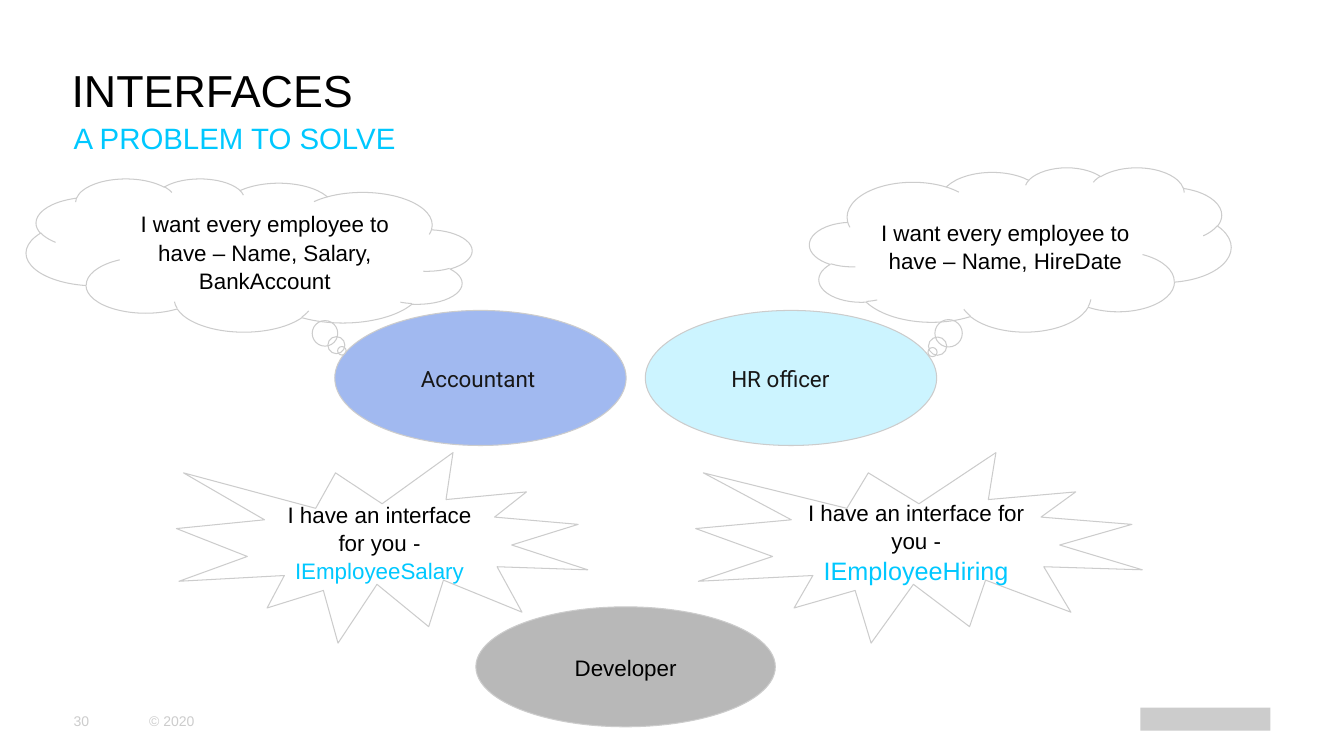
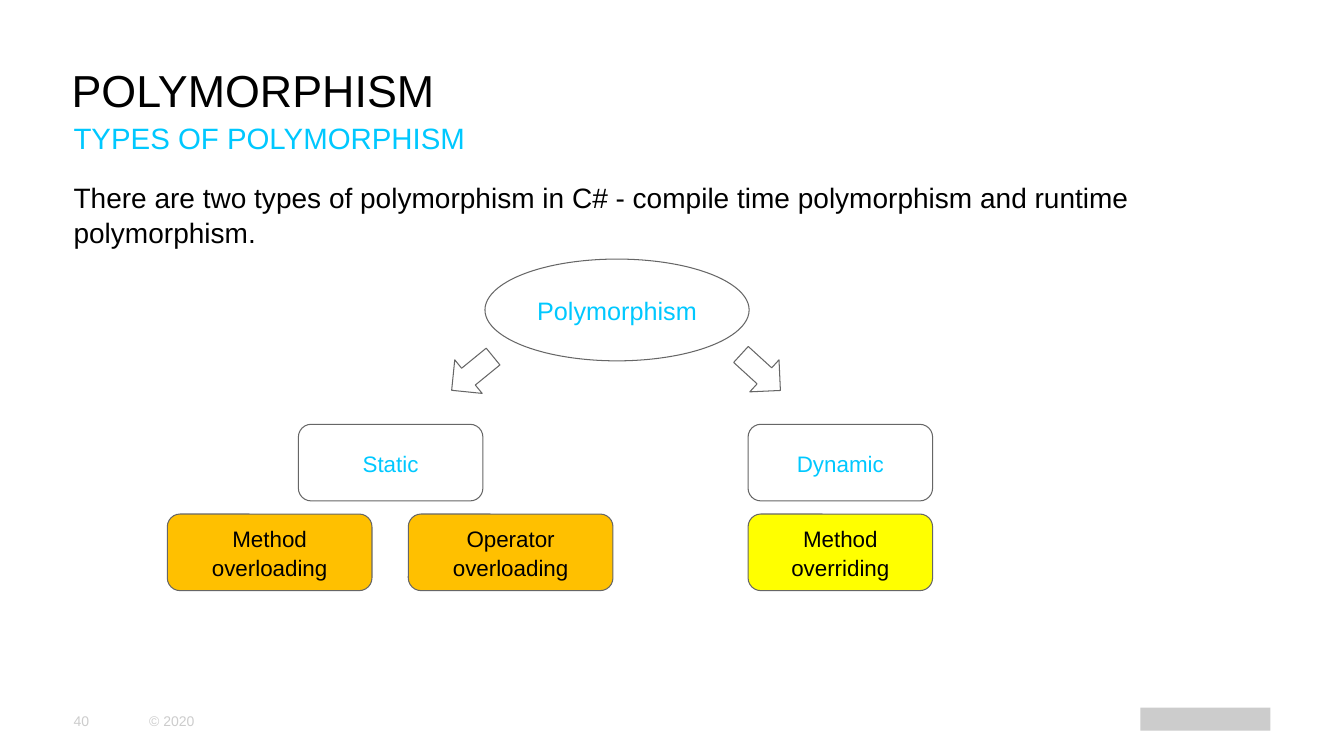
from dataclasses import dataclass

from pptx import Presentation
from pptx.dml.color import RGBColor
from pptx.enum.shapes import MSO_SHAPE
from pptx.enum.text import MSO_ANCHOR, PP_ALIGN
from pptx.util import Emu, Pt

OVAL = MSO_SHAPE.OVAL
THOUGHT = MSO_SHAPE.CLOUD_CALLOUT
BURST = MSO_SHAPE.EXPLOSION1
ROUNDED = MSO_SHAPE.ROUNDED_RECTANGLE
ARROW = MSO_SHAPE.DOWN_ARROW
RECTANGLE = MSO_SHAPE.RECTANGLE
LEFT, CENTER = PP_ALIGN.LEFT, PP_ALIGN.CENTER
TOP, MIDDLE, BOTTOM = MSO_ANCHOR.TOP, MSO_ANCHOR.MIDDLE, MSO_ANCHOR.BOTTOM

PX = 9144  # EMU in one px, 100 px to the inch


@dataclass(frozen=True)
class Theme:
    font: str = "Arial"
    role_font: str = "Roboto"
    black: str = "000000"
    role_text: str = "171717"
    accent: str = "00C8FF"
    pale_line: str = "CCCCCC"
    dark_line: str = "666666"
    periwinkle: str = "A1B9F0"
    ice: str = "CCF4FF"
    gray: str = "B8B8B8"
    orange: str = "FFC000"
    yellow: str = "FFFF00"
    title: int = 32
    subtitle: int = 21
    body: int = 20
    large: int = 18
    label: int = 16
    footer: int = 10
    line_width: float = 0.75
    line_spacing: float = 1.05


THEME = Theme()

# Content: boxes are (left, top, width, height) in px
COPYRIGHT = "© 2020"

ROLES = [
    ("Accountant", (332, 308, 289, 134), THEME.periwinkle),
    ("HR officer", (640, 308, 289, 134), THEME.ice),
]
WISHES = [  # text, box, mirrored
    ("I want every employee to have – Name, Salary, BankAccount", (26, 177, 442, 152), True),
    ("I want every employee to have – Name, HireDate", (803, 166, 418, 163), False),
]
DEVELOPER = ("Developer", (472, 602, 297, 119))
OFFER = "I have an interface for you - "
OFFERS = [  # interface, size, box
    ("IEmployeeHiring", THEME.large, (690, 449, 443, 189)),
    ("IEmployeeSalary", THEME.label, (175, 449, 408, 189)),
]

INTRO = ("There are two types of polymorphism in C# - compile time polymorphism "
         "and runtime polymorphism.")
ROOT = ("Polymorphism", (481, 257, 262, 101))
NODE_HEIGHT = 76
KIND_TOP, METHOD_TOP = 421, 510
KINDS = [("Static", 296, 183), ("Dynamic", 742, 183)]  # text, left, width
METHODS = [
    ("Method overloading", 166, 203, THEME.orange),
    ("Operator overloading", 405, 203, THEME.orange),
    ("Method overriding", 742, 183, THEME.yellow),
]
ARROWS = [((447, 344, 43, 53), 50.8), ((733, 343, 43, 53), 312.4)]  # box, rotation


def emu(box):
    return [Emu(length * PX) for length in box]


def write(frame, segments, align=LEFT, anchor=MIDDLE, font=THEME.font):
    """Fill one paragraph with (text, size, colour) segments."""
    frame.word_wrap = True
    frame.vertical_anchor = anchor
    paragraph = frame.paragraphs[0]
    paragraph.alignment = align
    paragraph.line_spacing = THEME.line_spacing
    for text, size, color in segments:
        run = paragraph.add_run()
        run.text = text
        run.font.name = font
        run.font.size = Pt(size)
        run.font.color.rgb = RGBColor.from_string(color)


def add_text(slide, box, text, size, color, anchor=TOP):
    frame = slide.shapes.add_textbox(*emu(box)).text_frame
    frame.margin_left = frame.margin_top = frame.margin_right = frame.margin_bottom = 0
    write(frame, [(text, size, color)], anchor=anchor)


def add_figure(slide, preset, box, line=None, fill=None):
    figure = slide.shapes.add_shape(preset, *emu(box))
    figure.shadow.inherit = False
    if fill:
        figure.fill.solid()
        figure.fill.fore_color.rgb = RGBColor.from_string(fill)
    else:
        figure.fill.background()
    if line:
        figure.line.color.rgb = RGBColor.from_string(line)
        figure.line.width = Pt(THEME.line_width)
    else:
        figure.line.fill.background()
    return figure


def add_label(slide, preset, box, line, segments, fill=None):
    figure = add_figure(slide, preset, box, line, fill)
    write(figure.text_frame, segments, CENTER)
    return figure


def add_page(deck, number, title, subtitle):
    """Start a slide with the shared footer, logo block and heading."""
    slide = deck.slides.add_slide(deck.slide_layouts[6])
    add_text(slide, (148, 695, 108, 40), COPYRIGHT, THEME.footer, THEME.pale_line, MIDDLE)
    add_text(slide, (73, 695, 74, 40), number, THEME.footer, THEME.pale_line, MIDDLE)
    add_figure(slide, RECTANGLE, (1131, 702, 129, 23), fill=THEME.pale_line)
    add_text(slide, (73, 117, 1187, 44), subtitle, THEME.subtitle, THEME.accent)
    add_text(slide, (71, 1, 1190, 115), title, THEME.title, THEME.black, BOTTOM)
    return slide


def build_interfaces(deck):
    slide = add_page(deck, "30", "INTERFACES", "A PROBLEM TO SOLVE")

    # Each role, then the wish it is thinking of
    for (role, role_box, fill), (wish, wish_box, mirrored) in zip(ROLES, WISHES):
        oval = add_figure(slide, OVAL, role_box, THEME.pale_line, fill)
        oval.text_frame.margin_left = Emu(43 * PX)
        write(oval.text_frame, [(role, THEME.label, THEME.role_text)], font=THEME.role_font)
        cloud = add_label(slide, THOUGHT, wish_box, THEME.pale_line,
                          [(wish, THEME.label, THEME.black)])
        if mirrored:
            cloud._element.spPr.xfrm.set("flipH", "1")

    # The developer and the interfaces on offer
    name, box = DEVELOPER
    add_label(slide, OVAL, box, THEME.pale_line,
              [(name, THEME.label, THEME.black)], THEME.gray)
    for interface, size, box in OFFERS:
        add_label(slide, BURST, box, THEME.pale_line,
                  [(OFFER, THEME.label, THEME.black), (interface, size, THEME.accent)])


def build_polymorphism(deck):
    slide = add_page(deck, "40", "POLYMORPHISM", "TYPES OF POLYMORPHISM")
    add_text(slide, (73, 177, 1187, 500), INTRO, THEME.body, THEME.black)

    # Tree: root, kinds, methods
    name, box = ROOT
    add_label(slide, OVAL, box, THEME.dark_line, [(name, THEME.large, THEME.accent)])
    for kind, left, width in KINDS:
        add_label(slide, ROUNDED, (left, KIND_TOP, width, NODE_HEIGHT), THEME.dark_line,
                  [(kind, THEME.label, THEME.accent)])
    for method, left, width, fill in METHODS:
        add_label(slide, ROUNDED, (left, METHOD_TOP, width, NODE_HEIGHT), THEME.dark_line,
                  [(method, THEME.label, THEME.black)], fill)

    # Arrows from the root to the kinds
    for box, rotation in ARROWS:
        add_figure(slide, ARROW, box, THEME.dark_line).rotation = rotation


def main():
    deck = Presentation()
    deck.slide_width, deck.slide_height = emu((1333, 750))
    build_interfaces(deck)
    build_polymorphism(deck)
    deck.save("out.pptx")


if __name__ == "__main__":
    main()
